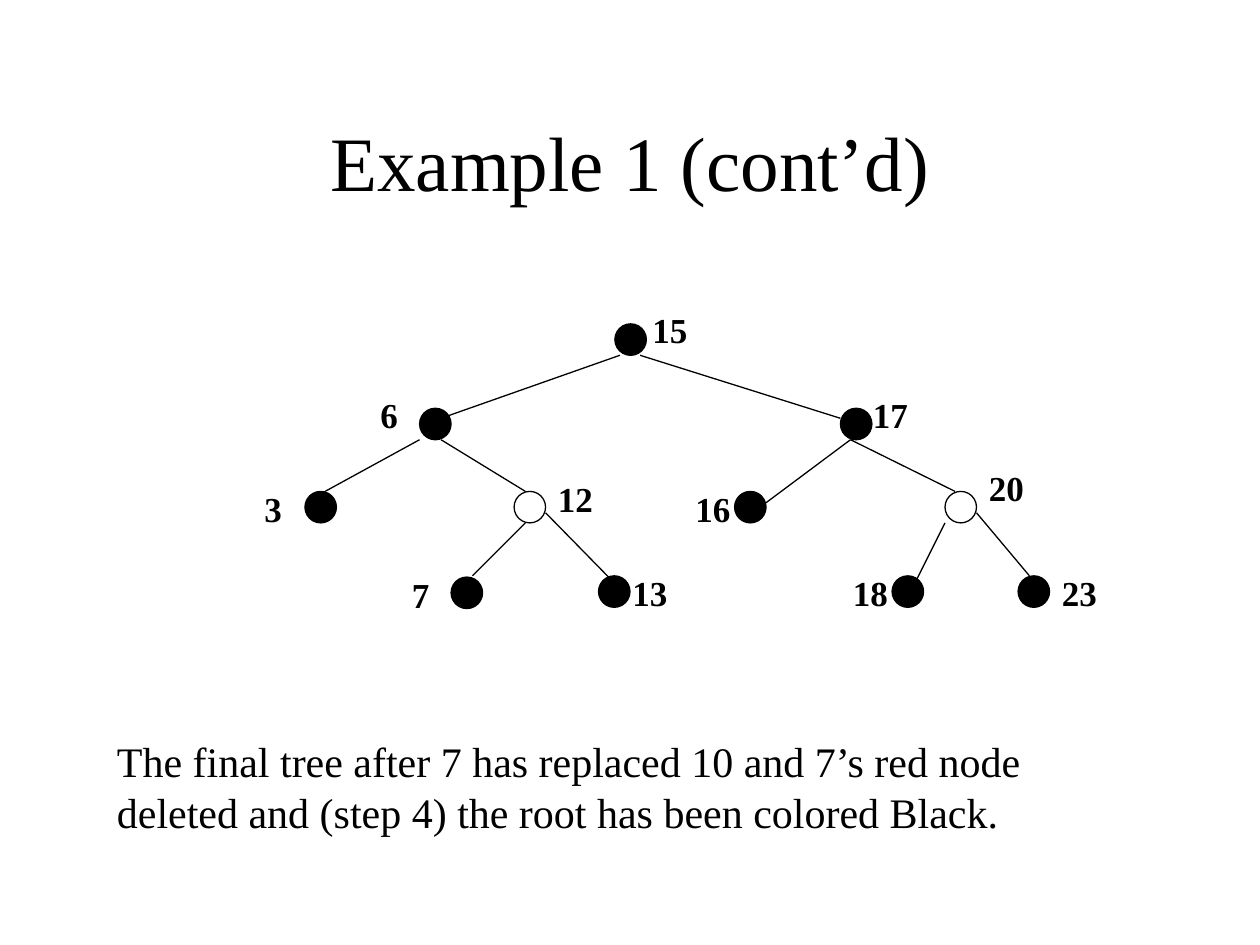
from dataclasses import dataclass

from lxml.etree import SubElement
from pptx import Presentation
from pptx.dml.color import RGBColor
from pptx.enum.shapes import MSO_CONNECTOR, MSO_SHAPE
from pptx.enum.text import MSO_ANCHOR, MSO_AUTO_SIZE, PP_ALIGN
from pptx.oxml.ns import qn
from pptx.util import Inches, Pt

BLACK = RGBColor(0x00, 0x00, 0x00)
WHITE = RGBColor(0xFF, 0xFF, 0xFF)
FONT = "Times New Roman"
DIAMETER = 0.25
LINE_WIDTH = Pt(0.75)


@dataclass(frozen=True)
class Node:
    key: int
    x: float
    y: float
    label_x: float
    label_y: float
    fill: RGBColor | None = BLACK


@dataclass(frozen=True)
class Edge:
    x1: float
    y1: float
    x2: float
    y2: float


NODES = [
    Node(15, 4.88, 2.57, 5.08, 2.40),
    Node(6, 3.33, 3.24, 2.92, 3.07),
    Node(17, 6.67, 3.24, 6.83, 3.07),
    Node(3, 2.42, 3.90, 2.00, 3.82),
    Node(12, 4.08, 3.90, 4.33, 3.74, None),
    Node(16, 5.83, 3.90, 5.42, 3.82),
    Node(20, 7.50, 3.90, 7.75, 3.65, WHITE),
    Node(13, 4.75, 4.57, 4.92, 4.49),
    Node(18, 7.08, 4.57, 6.67, 4.49),
    Node(23, 8.08, 4.57, 8.33, 4.49),
    Node(7, 3.58, 4.58, 3.17, 4.50),
]

EDGES = [
    Edge(4.92, 2.82, 3.50, 3.32),
    Edge(3.33, 3.49, 2.58, 3.90),
    Edge(3.50, 3.49, 4.17, 3.90),
    Edge(4.33, 4.07, 4.83, 4.58),
    Edge(5.08, 2.82, 6.67, 3.32),
    Edge(6.75, 3.49, 6.08, 3.99),
    Edge(6.75, 3.49, 7.58, 3.90),
    Edge(7.50, 4.15, 7.25, 4.65),
    Edge(7.75, 4.07, 8.17, 4.57),
    Edge(4.17, 4.15, 3.75, 4.57),
]


def add_text(s, text: str, x: float, y: float, w: float, h: float, *,
             size: float, bold: bool = False, before: float = 0,
             align=PP_ALIGN.LEFT, anchor=MSO_ANCHOR.TOP,
             auto_size=MSO_AUTO_SIZE.SHAPE_TO_FIT_TEXT) -> None:
    tf = s.shapes.add_textbox(Inches(x), Inches(y), Inches(w), Inches(h)).text_frame
    tf.word_wrap = True
    tf.auto_size = auto_size
    tf.vertical_anchor = anchor
    p = tf.paragraphs[0]
    p.alignment = align
    p.space_before = Pt(before)
    r = p.add_run()
    r.text = text
    r.font.name = FONT
    r.font.size = Pt(size)
    r.font.bold = bold
    r.font.color.rgb = BLACK


def add_node(s, node: Node) -> None:
    sp = s.shapes.add_shape(MSO_SHAPE.OVAL, Inches(node.x), Inches(node.y),
                            Inches(DIAMETER), Inches(DIAMETER))
    sp.shadow.inherit = False
    if node.fill is None:
        sp.fill.background()
    else:
        sp.fill.solid()
        sp.fill.fore_color.rgb = node.fill
    sp.line.color.rgb = BLACK
    sp.line.width = LINE_WIDTH


def add_edge(s, edge: Edge) -> None:
    line = s.shapes.add_connector(MSO_CONNECTOR.STRAIGHT,
                                  Inches(edge.x1), Inches(edge.y1),
                                  Inches(edge.x2), Inches(edge.y2))
    line.line.color.rgb = BLACK
    line.line.width = LINE_WIDTH
    SubElement(line._element.spPr, qn("a:effectLst"))


def main() -> None:
    prs = Presentation()
    prs.slide_width, prs.slide_height = Inches(10), Inches(7.5)
    s = prs.slides.add_slide(prs.slide_layouts[6])

    add_text(s, "Example 1 (cont’d)", 0.75, 0.65, 8.5, 1.25, size=44,
             align=PP_ALIGN.CENTER, anchor=MSO_ANCHOR.MIDDLE,
             auto_size=MSO_AUTO_SIZE.NONE)
    for node in NODES:
        add_node(s, node)
    for edge in EDGES:
        add_edge(s, edge)
    for node in NODES:
        add_text(s, str(node.key), node.label_x, node.label_y, 0.5, 0.44,
                 size=20, bold=True, before=12.5)
    add_text(s, "The final tree after 7 has replaced 10 and 7’s red node deleted "
                "and (step 4) the root has been colored Black.",
             0.83, 5.79, 8.25, 0.9, size=24, before=15)

    prs.save("out.pptx")


if __name__ == "__main__":
    main()
